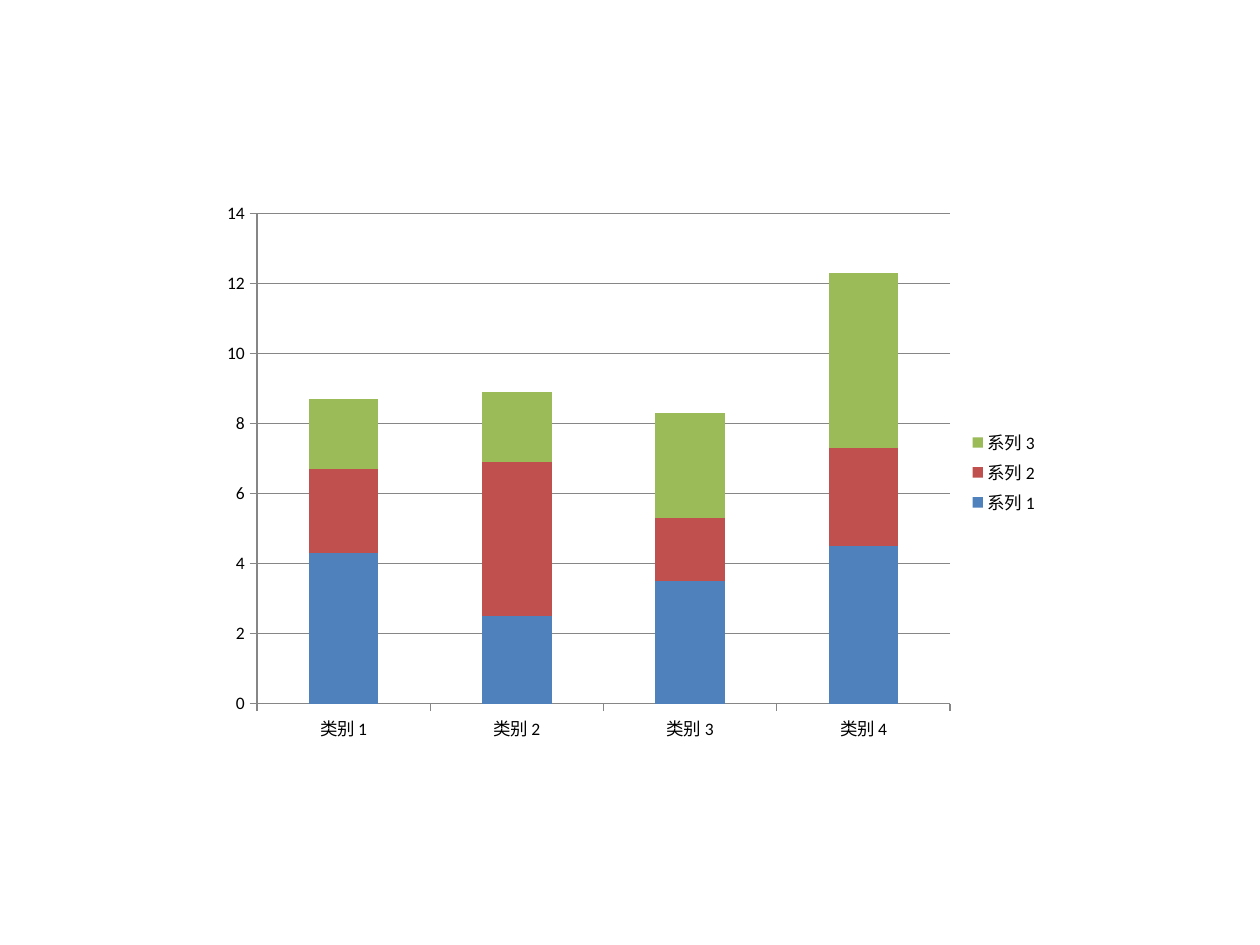
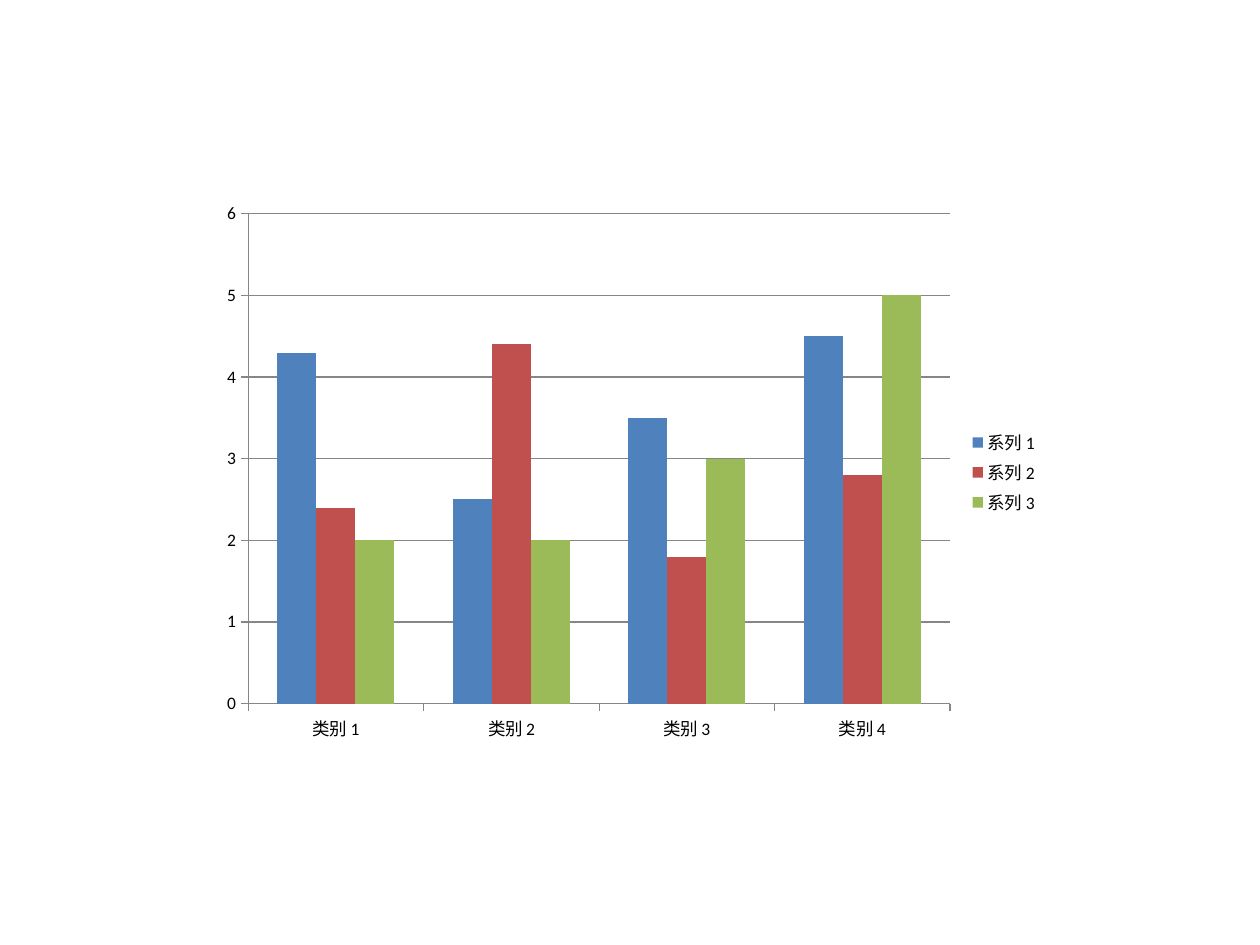
from pptx import Presentation
from pptx.chart.data import CategoryChartData as Data
from pptx.dml.color import RGBColor
from pptx.enum.chart import XL_CHART_TYPE as Kind
from pptx.enum.chart import XL_LEGEND_POSITION as Side
from pptx.enum.chart import XL_TICK_MARK as Tick
from pptx.util import Inches, Pt

BLUE = RGBColor(0x4F, 0x81, 0xBD)
RED = RGBColor(0xC0, 0x50, 0x4D)
GREEN = RGBColor(0x9B, 0xBB, 0x59)
BLACK = RGBColor(0, 0, 0)
GREY = RGBColor(0x86, 0x86, 0x86)
FONT = "Calibri"
BOX = (1.67, 1.53, 6.67, 4.44)
CATS = [f"类别 {n}" for n in range(1, 5)]
SERIES = [
    ("系列 1", (4.3, 2.5, 3.5, 4.5), BLUE),
    ("系列 2", (2.4, 4.4, 1.8, 2.8), RED),
    ("系列 3", (2, 2, 3, 5), GREEN),
]


def style_line(line):
    """Give an axis or grid line its thin grey stroke."""
    line.color.rgb = GREY
    line.width = Pt(0.75)


def style_axes(chart):
    """Set ticks, lines and the horizontal grid of both axes."""
    for axis in (chart.category_axis, chart.value_axis):
        axis.major_tick_mark = Tick.OUTSIDE
        axis.minor_tick_mark = Tick.NONE
        style_line(axis.format.line)
    chart.value_axis.has_major_gridlines = True
    style_line(chart.value_axis.major_gridlines.format.line)


def add_columns(slide, box, kind, overlap):
    """Place a column chart of the shared series in the box."""
    data = Data()
    data.categories = CATS
    for name, values, _ in SERIES:
        data.add_series(name, values)
    frame = slide.shapes.add_chart(kind, *map(Inches, box), data)
    chart = frame.chart
    chart.has_title = False
    chart.font.name = FONT
    chart.font.size = Pt(10)
    chart.font.color.rgb = BLACK
    chart.has_legend = True
    chart.legend.position = Side.RIGHT
    chart.legend.include_in_layout = False
    style_axes(chart)
    plot = chart.plots[0]
    plot.vary_by_categories = False
    plot.gap_width = 150
    plot.overlap = overlap
    for series, (_, _, color) in zip(plot.series, SERIES):
        series.format.fill.solid()
        series.format.fill.fore_color.rgb = color


def main():
    """Build the stacked and the clustered chart slides."""
    deck = Presentation()
    deck.slide_width, deck.slide_height = Inches(10), Inches(7.5)
    blank = deck.slide_layouts[6]
    for kind, overlap in ((Kind.COLUMN_STACKED, 100), (Kind.COLUMN_CLUSTERED, 0)):
        add_columns(deck.slides.add_slide(blank), BOX, kind, overlap)
    deck.save("out.pptx")


if __name__ == "__main__":
    main()
